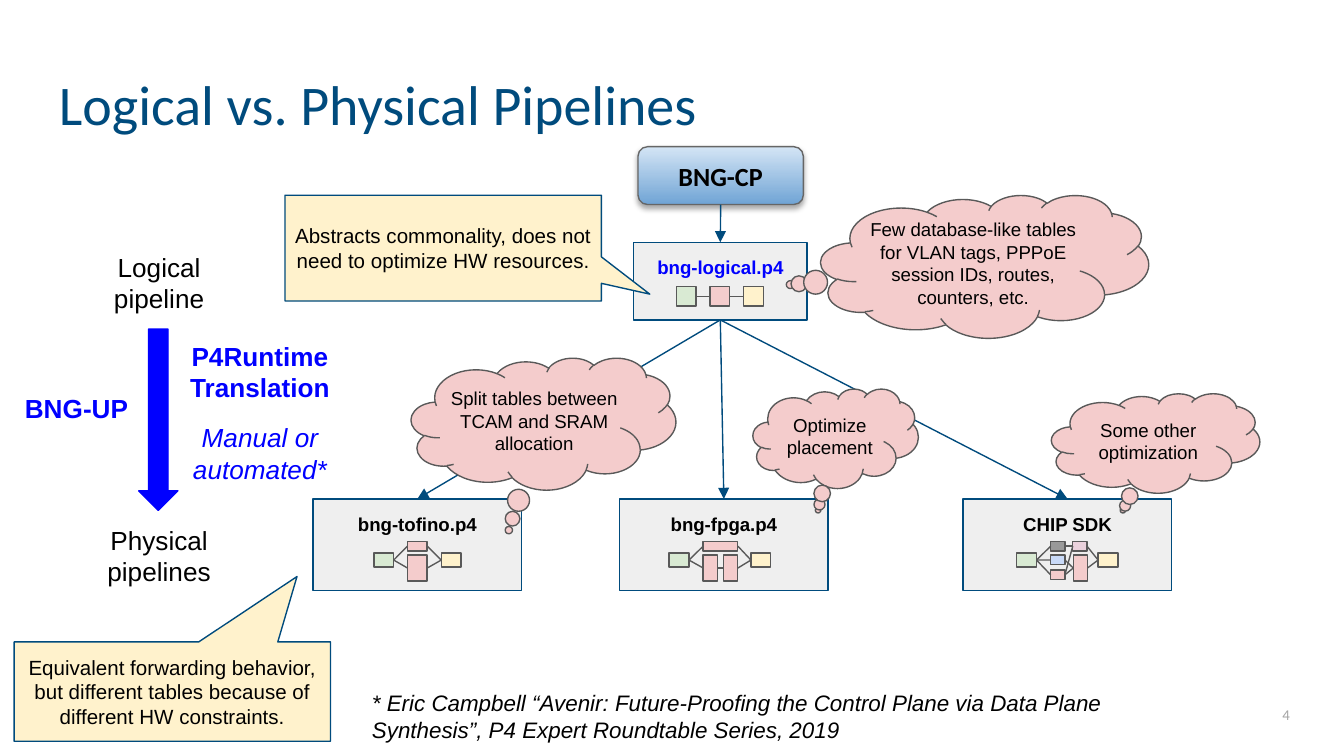
from lxml import etree
from pptx import Presentation
from pptx.dml.color import RGBColor
from pptx.enum.shapes import MSO_CONNECTOR, MSO_SHAPE as Geometry
from pptx.enum.text import MSO_ANCHOR as Anchor, PP_ALIGN as Align
from pptx.oxml.ns import qn
from pptx.util import Pt

NAVY = RGBColor(0x00, 0x4B, 0x7D)
BLUE = RGBColor(0x00, 0x00, 0xFF)
BLACK = RGBColor(0x00, 0x00, 0x00)
NUMBER_GRAY = RGBColor(0xA5, 0xA5, 0xA5)
OUTLINE_GRAY = RGBColor(0x59, 0x59, 0x59)
BUTTON_GRAY = RGBColor(0x66, 0x66, 0x66)
PANEL = RGBColor(0xEF, 0xEF, 0xEF)
GREEN = RGBColor(0xD9, 0xEA, 0xD3)
PINK = RGBColor(0xF4, 0xCC, 0xCC)
YELLOW = RGBColor(0xFF, 0xF2, 0xCC)
STAGE_GRAY = RGBColor(0x99, 0x99, 0x99)
STAGE_BLUE = RGBColor(0xC9, 0xDA, 0xF8)
STAGE_MAUVE = RGBColor(0xEA, 0xD1, 0xDC)
BUTTON_LIGHT = RGBColor(0xD4, 0xE5, 0xF5)
BUTTON_DARK = RGBColor(0x70, 0xA4, 0xD5)

TOP, LEFT, BOTTOM, RIGHT = range(4)

presentation = Presentation()
presentation.slide_width, presentation.slide_height = Pt(720), Pt(405)
slide = presentation.slides.add_slide(presentation.slide_layouts[6])


def add_box(geometry, bounds, text="", size=10, color=BLACK, font="Arial", bold=False,
            italic=False, align=Align.CENTER, anchor=Anchor.TOP, insets=(7.2, 7.2),
            fill=None, outline=None, adjustments=()):
    """Add a preset shape, or a text box if geometry is None, and format its text."""
    bounds = [Pt(value) for value in bounds]
    if geometry is None:
        shape = slide.shapes.add_textbox(*bounds)
    else:
        shape = slide.shapes.add_shape(geometry, *bounds)
        shape.shadow.inherit = False
        shape.fill.solid()
        shape.fill.fore_color.rgb = fill
        shape.line.color.rgb = outline
        shape.line.width = Pt(0.75)
        for index, value in enumerate(adjustments):
            shape.adjustments[index] = value
    if text:
        frame = shape.text_frame
        frame.word_wrap = True
        frame.vertical_anchor = anchor
        frame.margin_left = frame.margin_right = Pt(insets[0])
        frame.margin_top = frame.margin_bottom = Pt(insets[1])
        frame.text = text
        for paragraph in frame.paragraphs:
            paragraph.alignment = align
            for run in paragraph.runs:
                run.font.name, run.font.size = font, Pt(size)
                run.font.bold, run.font.italic = bold, italic
                run.font.color.rgb = color
    return shape


def connect(start, start_side, end, end_side, color, arrow=False):
    """Join two shapes with a straight line."""
    connector = slide.shapes.add_connector(MSO_CONNECTOR.STRAIGHT, 0, 0, 0, 0)
    connector.begin_connect(start, start_side)
    connector.end_connect(end, end_side)
    connector.line.color.rgb = color
    connector.line.width = Pt(0.75)
    properties = connector.element.spPr
    if arrow:
        etree.SubElement(properties.find(qn("a:ln")), qn("a:tailEnd"), type="triangle")
    etree.SubElement(properties, qn("a:effectLst"))


# Title and slide number
title = add_box(None, (24.5, 28.8, 671, 45.4), "Logical vs. Physical Pipelines", 30, NAVY,
                "Calibri", align=Align.LEFT, insets=(7.2, 3.6))
title.text_frame.paragraphs[0].line_spacing = 1.13
add_box(None, (667.4, 367.2, 43.2, 31), "4", 8, NUMBER_GRAY, "Calibri",
        anchor=Anchor.MIDDLE, insets=(7.2, 3.6))

# Control plane button
control_plane = add_box(Geometry.ROUNDED_RECTANGLE, (341.8, 78.6, 88.6, 31), "BNG-CP", 14,
                        font="Calibri", bold=True, anchor=Anchor.MIDDLE, insets=(0, 0),
                        fill=BUTTON_LIGHT, outline=BUTTON_GRAY)
control_plane.fill.gradient()
control_plane.fill.gradient_angle = 270
for stop, color in zip(control_plane.fill.gradient_stops, (BUTTON_LIGHT, BUTTON_DARK)):
    stop.color.rgb = color
effects = control_plane.element.spPr.find(qn("a:effectLst"))
shadow = etree.SubElement(effects, qn("a:outerShdw"), blurRad=str(Pt(3.1)),
                          dist=str(Pt(1.8)), dir="5400000", algn="t", rotWithShape="0")
shadow_color = etree.SubElement(shadow, qn("a:srgbClr"), val="000000")
etree.SubElement(shadow_color, qn("a:alpha"), val="35000")

# Logical pipeline, and the physical pipelines it is translated to
logical = add_box(Geometry.RECTANGLE, (339.5, 129.8, 92.8, 41.6), "bng-logical.p4", 10, BLUE,
                  bold=True, fill=PANEL, outline=NAVY)
connect(control_plane, BOTTOM, logical, TOP, NAVY, arrow=True)
for left, name in ((167.7, "bng-tofino.p4"), (331.9, "bng-fpga.p4"), (516, "CHIP SDK")):
    physical = add_box(Geometry.RECTANGLE, (left, 267.3, 111.8, 49), name, 10, bold=True,
                       fill=PANEL, outline=NAVY)
    connect(logical, BOTTOM, physical, TOP, NAVY, arrow=True)

# Stages inside each pipeline: name -> (left, top, width, height, fill), then the links
UPPER, MIDDLE, LOWER, SIDE = 290, 297.4, 305.4, 296.2
THIN, TALL, SIDE_HEIGHT = 5.2, 13.8, 7.7
WIDE, NARROW = 10.6, 7.6
pipelines = [
    ({"in": (362.3, 153.4, WIDE, WIDE, GREEN),
      "table": (380.4, 153.4, WIDE, WIDE, PINK),
      "out": (398.5, 153.4, WIDE, WIDE, YELLOW)},
     ["in table", "table out"]),
    ({"in": (200.3, SIDE, WIDE, SIDE_HEIGHT, GREEN),
      "upper": (218.3, UPPER, WIDE, THIN, PINK),
      "lower": (218.3, MIDDLE, WIDE, TALL, PINK),
      "out": (236.4, SIDE, WIDE, SIDE_HEIGHT, YELLOW)},
     ["in upper", "in lower", "upper out", "lower out"]),
    ({"in": (358.5, SIDE, WIDE, SIDE_HEIGHT, GREEN),
      "upper": (376.7, UPPER, 18.6, THIN, PINK),
      "first": (376.7, MIDDLE, NARROW, TALL, PINK),
      "second": (387.7, MIDDLE, NARROW, TALL, PINK),
      "out": (402.3, SIDE, WIDE, SIDE_HEIGHT, YELLOW)},
     ["in upper", "in first", "first second", "upper out", "second out"]),
    ({"in": (544.7, SIDE, WIDE, SIDE_HEIGHT, GREEN),
      "upper": (562.9, UPPER, NARROW, THIN, STAGE_GRAY),
      "middle": (562.9, MIDDLE, NARROW, THIN, STAGE_BLUE),
      "lower": (562.9, LOWER, NARROW, THIN, PINK),
      "merge": (574.7, UPPER, NARROW, THIN, STAGE_MAUVE),
      "tall": (575, MIDDLE, NARROW, TALL, PINK),
      "out": (588.3, SIDE, WIDE, SIDE_HEIGHT, YELLOW)},
     ["in upper", "in middle", "in lower", "upper merge", "middle tall", "lower merge",
      "lower tall", "merge out", "tall out"]),
]
for stages, links in pipelines:
    boxes = {name: add_box(Geometry.RECTANGLE, bounds, fill=fill, outline=OUTLINE_GRAY)
             for name, (*bounds, fill) in stages.items()}
    for link in links:
        start, end = link.split()
        connect(boxes[start], RIGHT, boxes[end], LEFT, OUTLINE_GRAY)

# Thought clouds
for bounds, adjustments, text in (
    ((220.3, 191.7, 141.8, 70.7), (-0.131, 0.806),
     "Split tables between TCAM and SRAM allocation"),
    ((403.4, 208.3, 88.6, 53.3), (-0.106, 0.721), "Optimize placement"),
    ((563.3, 210.8, 111.6, 53.3), (-0.157, 0.674), "Some other optimization"),
    ((439.7, 104.5, 175.7, 76.5), (-0.593, 0.127),
     "Few database-like tables for VLAN tags, PPPoE session IDs, routes, counters, etc."),
):
    add_box(Geometry.CLOUD_CALLOUT, bounds, text, anchor=Anchor.MIDDLE, insets=(0, 0),
            fill=PINK, outline=OUTLINE_GRAY, adjustments=adjustments)

# Speech callouts
for bounds, adjustments, text in (
    ((152.7, 104.6, 169.5, 56.7), (0.653, 0.435, 0),
     "Abstracts commonality, does not need to optimize HW resources."),
    ((7.6, 343.9, 169.5, 53.2), (0.394, -1.159, 0),
     "Equivalent forwarding behavior, but different tables because of different HW "
     "constraints."),
):
    add_box(Geometry.ROUNDED_RECTANGULAR_CALLOUT, bounds, text, 11, anchor=Anchor.MIDDLE,
            insets=(0, 0), fill=YELLOW, outline=NAVY, adjustments=adjustments)

# Translation column on the left
add_box(None, (46, 127.4, 78.5, 51.8), "Logical\npipeline", 14)
add_box(None, (46, 273.6, 78.5, 51.8), "Physical\npipelines", 14)
add_box(Geometry.DOWN_ARROW, (74.3, 176.3, 21, 97.2), fill=BLUE, outline=BLUE)
add_box(None, (4.3, 203, 73.4, 31), "BNG-UP", 14, BLUE, bold=True)
translation = add_box(None, (91.4, 175, 95.8, 97.2),
                      "P4Runtime\nTranslation\nManual or automated*", 14, BLUE, bold=True)
manner = translation.text_frame.paragraphs[2]
manner.space_before = Pt(10)
manner.runs[0].font.bold, manner.runs[0].font.italic = False, True

# Citation
add_box(None, (192.2, 362.2, 441.4, 40.3),
        "* Eric Campbell “Avenir: Future-Proofing the Control Plane via Data Plane "
        "Synthesis”, P4 Expert Roundtable Series, 2019", 12, italic=True, align=Align.LEFT)

presentation.save("out.pptx")
